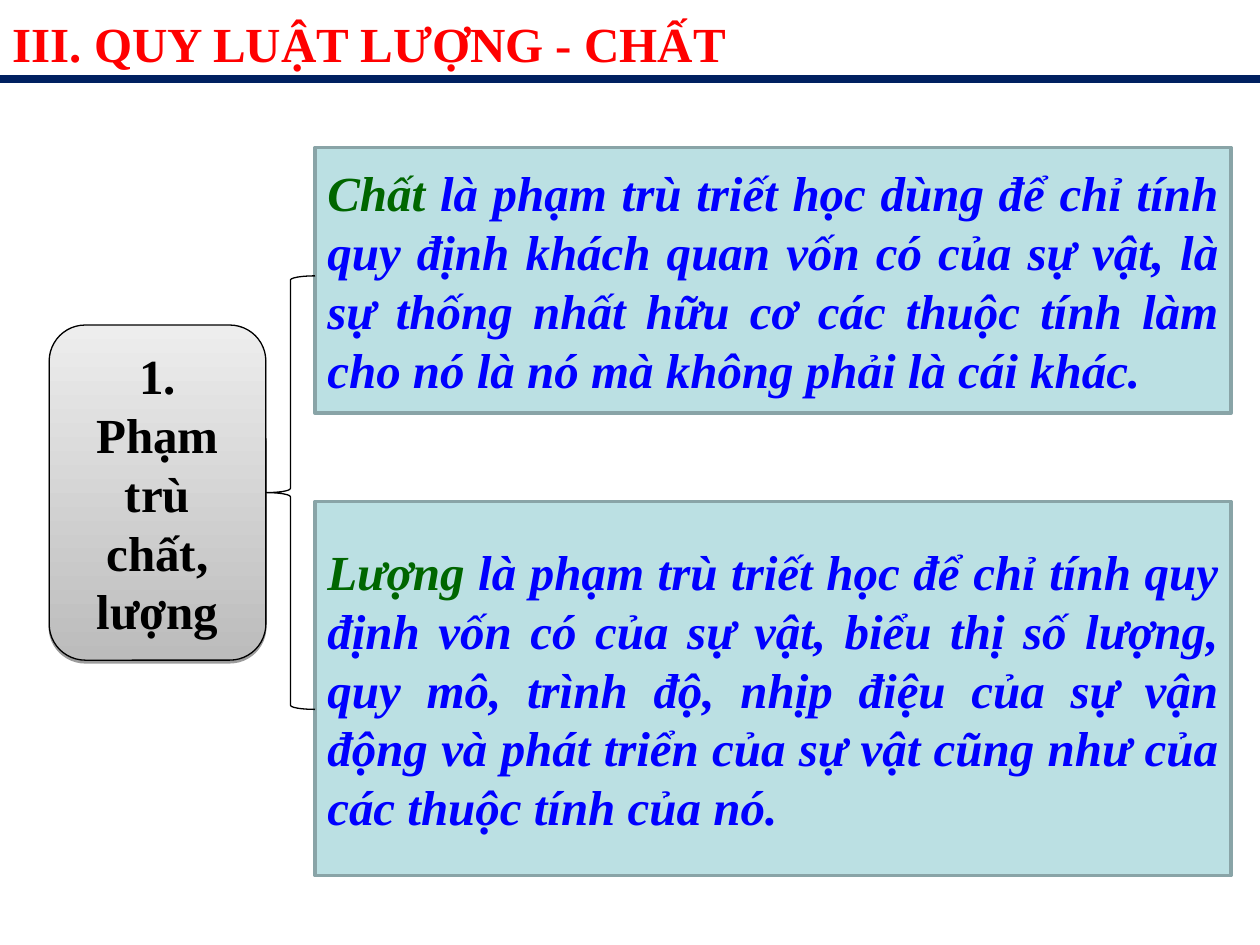
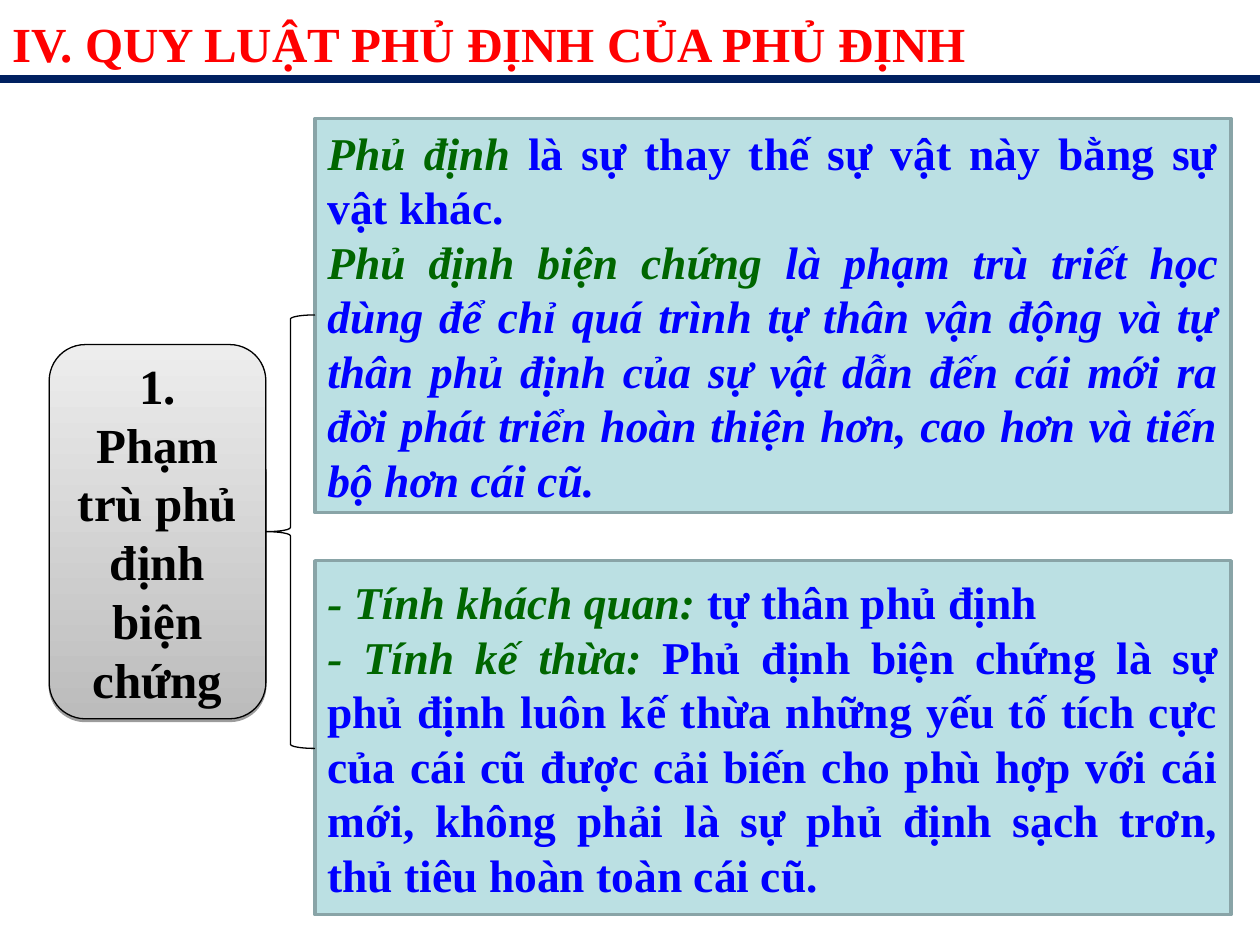
"""Build two slides on the laws of dialectics, each with a topic, a brace and two panels."""
from dataclasses import dataclass

from lxml import etree
from pptx import Presentation
from pptx import util as u
from pptx.dml.color import RGBColor
from pptx.enum import shapes, text
from pptx.oxml.ns import qn

FONT = "Times New Roman"
NAVY, RED, GREEN, BLUE, BLACK = "002060", "FF0000", "006600", "0000FF", "000000"
PANEL_FILL, PANEL_LINE = "BBE0E3", "89A4A7"
GREY_DARK, GREY_LIGHT = "BCBCBC", "EDEDED"
TOPIC_LEFT, TOPIC_W = 0.39, 1.72
PANEL_LEFT, PANEL_W = 2.5, 7.27
BRACE_LEFT, BRACE_H = TOPIC_LEFT + TOPIC_W, 3.44


@dataclass
class Definition:
    """A term in green followed by its explanation in blue."""
    term: str
    meaning: str
    italic: bool = False


@dataclass
class Panel:
    """A box of definitions on the right."""
    top: float
    height: float
    size: int
    definitions: list[Definition]


@dataclass
class Law:
    """The content of one slide."""
    title: str
    topic: str
    centre: float
    topic_h: float
    panels: list[Panel]


LAWS = [
    Law("III. QUY LUẬT LƯỢNG - CHẤT", "1. Phạm trù chất, lượng", 3.91, 2.66, [
        Panel(1.17, 2.11, 28, [Definition(
            "Chất ",
            "là phạm trù triết học dùng để chỉ tính quy định khách quan vốn có của sự vật, "
            "là sự thống nhất hữu cơ các thuộc tính làm cho nó là nó mà không phải là cái khác.",
            True)]),
        Panel(3.98, 2.97, 28, [Definition(
            "Lượng ",
            "là phạm trù triết học để chỉ tính quy định vốn có của sự vật, biểu thị số lượng, "
            "quy mô, trình độ, nhịp điệu của sự vận động và phát triển của sự vật cũng như "
            "của các thuộc tính của nó.",
            True)]),
    ]),
    Law("IV. QUY LUẬT PHỦ ĐỊNH CỦA PHỦ ĐỊNH", "1. Phạm trù phủ định biện chứng", 4.22, 2.97, [
        Panel(0.94, 3.13, 26, [
            Definition("Phủ định ", "là sự thay thế sự vật này bằng sự vật khác."),
            Definition(
                "Phủ định biện chứng ",
                "là phạm trù triết học dùng để chỉ quá trình tự thân vận động và tự thân phủ định "
                "của sự vật dẫn đến cái mới ra đời phát triển hoàn thiện hơn, cao hơn và tiến bộ "
                "hơn cái cũ.",
                True)]),
        Panel(4.45, 2.81, 26, [
            Definition("- Tính khách quan: ", "tự thân phủ định"),
            Definition(
                "- Tính kế thừa: ",
                "Phủ định biện chứng là sự phủ định luôn kế thừa những yếu tố tích cực của cái cũ "
                "được cải biến cho phù hợp với cái mới, không phải là sự phủ định sạch trơn, "
                "thủ tiêu hoàn toàn cái cũ.")]),
    ]),
]


def rgb(value: str) -> RGBColor:
    """Turn a hex string into a colour."""
    return RGBColor.from_string(value)


def style_paragraph(p, size: int, align, color: str | None = None) -> None:
    """Set the bold face that all text shares."""
    p.alignment = align
    p.font.name, p.font.size, p.font.bold = FONT, u.Pt(size), True
    if color:
        p.font.color.rgb = rgb(color)


def add_box(s, kind, left: float, top: float, width: float, height: float,
            line: str, weight: float):
    """Add an outlined preset shape without a theme shadow."""
    sp = s.shapes.add_shape(kind, u.Inches(left), u.Inches(top), u.Inches(width), u.Inches(height))
    sp.shadow.inherit = False
    sp.line.color.rgb = rgb(line)
    sp.line.width = u.Pt(weight)
    sp.text_frame.word_wrap = True
    sp.text_frame.vertical_anchor = text.MSO_ANCHOR.MIDDLE
    return sp


def add_heading(s, title: str) -> None:
    """Place the title and the navy rule under it."""
    sp = s.shapes.title
    sp.left, sp.top, sp.width, sp.height = (u.Inches(v) for v in (0, -0.04, 10, 0.66))
    tf = sp.text_frame
    tf.text = title
    tf.auto_size = text.MSO_AUTO_SIZE.NONE
    tf.vertical_anchor = text.MSO_ANCHOR.TOP
    p = tf.paragraphs[0]
    p.line_spacing = 1.2
    style_paragraph(p, 28, text.PP_ALIGN.JUSTIFY, RED)
    rule = s.shapes.add_connector(shapes.MSO_CONNECTOR.STRAIGHT, 0, u.Inches(0.63),
                                  u.Inches(10), u.Inches(0.63))
    rule.line.color.rgb = rgb(NAVY)
    rule.line.width = u.Pt(4.5)
    etree.SubElement(rule._element.spPr, qn("a:effectLst"))


def add_panel(s, panel: Panel) -> None:
    """Draw one panel with its definitions."""
    sp = add_box(s, shapes.MSO_SHAPE.RECTANGLE, PANEL_LEFT, panel.top, PANEL_W, panel.height,
                 PANEL_LINE, 2)
    sp.fill.solid()
    sp.fill.fore_color.rgb = rgb(PANEL_FILL)
    tf = sp.text_frame
    for i, item in enumerate(panel.definitions):
        p = tf.add_paragraph() if i else tf.paragraphs[0]
        style_paragraph(p, panel.size, text.PP_ALIGN.JUSTIFY)
        for words, color, italic in ((item.term, GREEN, True), (item.meaning, BLUE, item.italic)):
            r = p.add_run()
            r.text = words
            r.font.color.rgb = rgb(color)
            r.font.italic = italic


def add_drop_shadow(sp) -> None:
    """Give a shape a thin translucent shadow below it."""
    effects = sp._element.spPr.find(qn("a:effectLst"))
    shadow = etree.SubElement(effects, qn("a:outerShdw"), blurRad="0", dist=str(u.Pt(1.6)),
                              dir="5400000", rotWithShape="0")
    color = etree.SubElement(shadow, qn("a:srgbClr"), val=BLACK)
    etree.SubElement(color, qn("a:alpha"), val="38000")


def add_topic(s, law: Law) -> None:
    """Draw the rounded topic box and the brace that joins it to the panels."""
    sp = add_box(s, shapes.MSO_SHAPE.ROUNDED_RECTANGLE, TOPIC_LEFT, law.centre - law.topic_h / 2,
                 TOPIC_W, law.topic_h, BLACK, 0.75)
    sp.fill.gradient()
    sp.fill.gradient_angle = 90
    for stop, color in zip(sp.fill.gradient_stops, (GREY_DARK, GREY_LIGHT)):
        stop.color.rgb = rgb(color)
    add_drop_shadow(sp)
    tf = sp.text_frame
    tf.margin_left = tf.margin_right = u.Inches(0.13)
    tf.text = law.topic
    style_paragraph(tf.paragraphs[0], 28, text.PP_ALIGN.CENTER, BLACK)
    brace = add_box(s, shapes.MSO_SHAPE.LEFT_BRACE, BRACE_LEFT, law.centre - BRACE_H / 2,
                    PANEL_LEFT - BRACE_LEFT, BRACE_H, BLACK, 0.75)
    brace.fill.background()


def main() -> None:
    """Build and save the slides."""
    prs = Presentation()
    prs.slide_width, prs.slide_height = u.Inches(10), u.Inches(7.5)
    for law in LAWS:
        s = prs.slides.add_slide(prs.slide_layouts[5])
        add_heading(s, law.title)
        for panel in law.panels:
            add_panel(s, panel)
        add_topic(s, law)
    prs.save("out.pptx")


if __name__ == "__main__":
    main()
